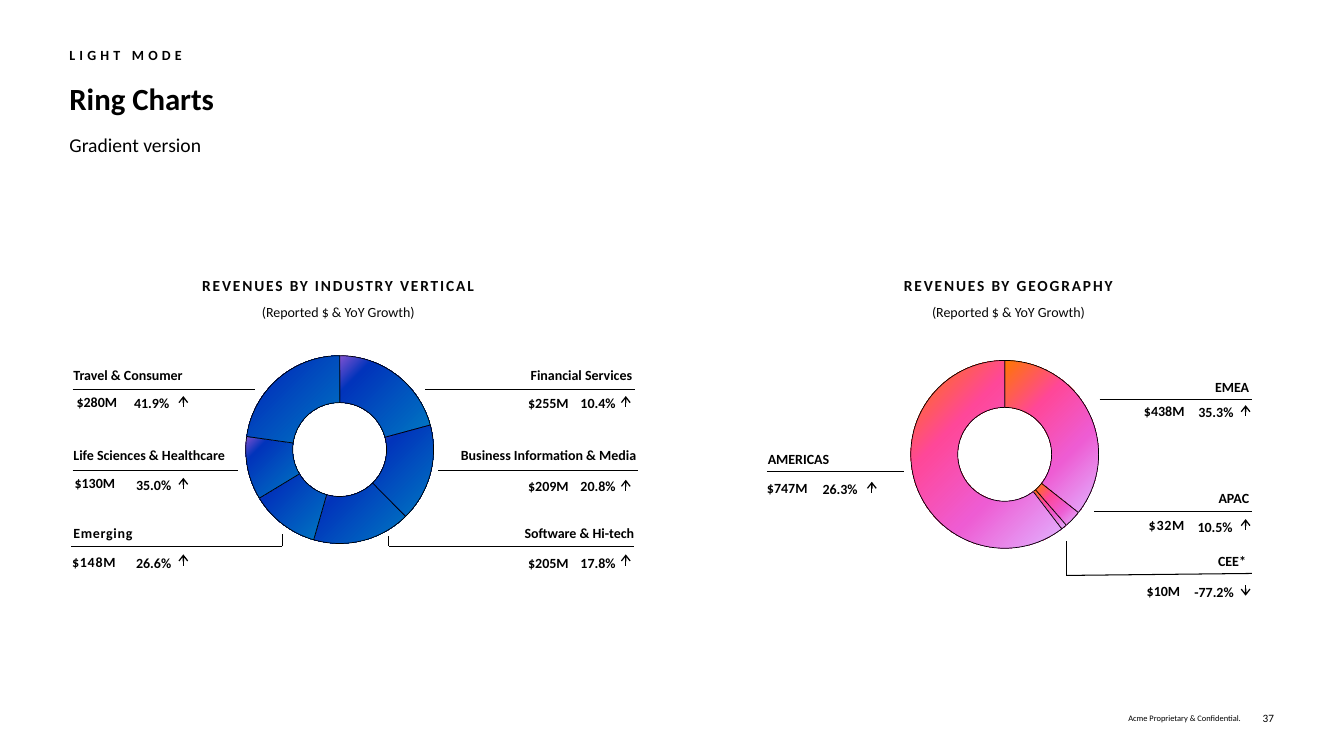
"""Build the light-mode slide with two gradient ring charts and their callouts."""
from itertools import pairwise

from pptx import Presentation
from pptx.chart.data import CategoryChartData
from pptx.dml.color import RGBColor
from pptx.enum.chart import XL_CHART_TYPE as ChartType
from pptx.enum.shapes import MSO_CONNECTOR as Connector
from pptx.enum.text import MSO_ANCHOR as Anchor, PP_ALIGN as Align
from pptx.oxml import parse_xml
from pptx.oxml.ns import nsdecls, qn
from pptx.util import Cm, Pt

COLORS = {
    "black": "000000", "heading": "060606", "footer": "010000",
    "violet": "8353D2", "navy": "0134BB", "blue": "0078C2",
    "orange": "FF7701", "pink": "FF4799", "orchid": "EE5CD3", "lilac": "E2B0FF",
}
OCEAN = [(0, "violet"), (22, "navy"), (100, "blue")]
SUNSET = [(0, "orange"), (32, "pink"), (64, "orchid"), (99, "lilac")]
SPACED = {"Emerging", "$148M", "$32M"}


class RingSlide:
    """Hold the style and the current slide, and draw each kind of element."""

    font_name = "Calibri"
    body_size = 10
    arrow_length = 0.28

    def __init__(self, deck):
        self.slide = deck.slides.add_slide(deck.slide_layouts[6])

    def text(self, box, lines, align=Align.LEFT, inset=False, wrap=True,
             leading=None, anchor=Anchor.TOP, color="black"):
        """Add a text box; each line is (wording, size, bold, letter spacing)."""
        frame = self.slide.shapes.add_textbox(*map(Cm, box)).text_frame
        frame.word_wrap = wrap
        frame.vertical_anchor = anchor
        if not inset:
            frame.margin_left = frame.margin_right = 0
            frame.margin_top = frame.margin_bottom = 0
        for index, (wording, size, bold, spacing) in enumerate(lines):
            paragraph = frame.add_paragraph() if index else frame.paragraphs[0]
            paragraph.text = wording
            paragraph.alignment = align
            if leading:
                paragraph.line_spacing = leading
            font = paragraph.font
            font.name, font.size, font.bold = self.font_name, Pt(size), bold
            font.color.rgb = RGBColor.from_string(COLORS[color])
            if spacing:
                font._element.set("spc", str(round(spacing * 100)))

    def label(self, box, wording, **options):
        """Add a bold body-size line of text."""
        spacing = 0.5 if wording in SPACED else 0
        self.text(box, [(wording, self.body_size, True, spacing)], **options)

    def line(self, start, end, width=0.75, arrow=False):
        """Add a straight line, optionally with an arrowhead at its start."""
        line = self.slide.shapes.add_connector(
            Connector.STRAIGHT, *map(Cm, (*start, *end)))
        line.line.width = Pt(width)
        line.line.color.rgb = RGBColor.from_string(COLORS["black"])
        properties = line._element.spPr
        if arrow:
            properties.find(qn("a:ln")).append(
                parse_xml(f'<a:headEnd {nsdecls("a")} type="arrow" len="sm"/>'))
        properties.append(parse_xml(f'<a:effectLst {nsdecls("a")}/>'))

    def ring(self, left, top, values, gradient):
        """Add a ring chart whose segments share one gradient."""
        data = CategoryChartData()
        data.categories = [str(n) for n in range(1, len(values) + 1)]
        data.add_series("Series 1", values)
        chart = self.slide.shapes.add_chart(
            ChartType.DOUGHNUT, Cm(left), Cm(top), Cm(5.38), Cm(5.38), data).chart
        chart.has_legend = chart.has_title = False
        chart.font.name, chart.font.size = self.font_name, Pt(self.body_size)
        chart.font.color.rgb = RGBColor.from_string(COLORS["black"])
        plot = chart.plots[0]
        plot.vary_by_categories = True
        plot._element.find(qn("c:holeSize")).set("val", "66")
        area = plot._element.getparent()
        for old in area.findall(qn("c:layout")):
            area.remove(old)
        area.insert(0, parse_xml(
            f'<c:layout {nsdecls("c")}><c:manualLayout>'
            '<c:layoutTarget val="inner"/><c:xMode val="edge"/><c:yMode val="edge"/>'
            '<c:x val="0.06"/><c:y val="0.06"/><c:w val="0.88"/><c:h val="0.88"/>'
            '</c:manualLayout></c:layout>'))
        series = plot.series[0]
        for index in range(len(values)):
            outline = series.points[index].format.line
            outline.width = Pt(0.5)
            outline.color.rgb = RGBColor.from_string(COLORS["black"])
        stops = "".join(
            f'<a:gs pos="{stop * 1000}"><a:srgbClr val="{COLORS[name]}"/></a:gs>'
            for stop, name in gradient)
        for segment in series._element.findall(f'{qn("c:dPt")}/{qn("c:spPr")}'):
            segment.insert(0, parse_xml(
                f'<a:gradFill {nsdecls("a")} rotWithShape="1"><a:gsLst>{stops}</a:gsLst>'
                '<a:lin ang="2700000" scaled="0"/></a:gradFill>'))

    def heading(self, left, title):
        """Add a chart title with its subtitle."""
        self.text((left, 6.6, 10.19, 1.55),
                  [(title, 11, True, 1.3), ("(Reported $ & YoY Growth)", 10, False, 0)],
                  align=Align.CENTER, inset=True, leading=1.5, color="heading")

    def callouts(self, rows, arrow_x, label_width, align, label_leading=None,
                 amount_inset=True, amount_leading=None):
        """Add one side's callouts: label, leader line, amount, growth and arrow."""
        for (label, label_at, leader, amount, amount_at,
             growth, growth_at, arrow_top) in rows:
            self.label((*label_at, label_width, 0.69), label, align=align,
                       inset=True, leading=label_leading)
            for start, end in pairwise(leader):
                self.line(start, end)
            amount_size = (1.8, 0.69) if amount_inset else (1.15, 0.46)
            self.label((*amount_at, *amount_size), amount, wrap=False,
                       inset=amount_inset, leading=amount_leading)
            self.label((*growth_at, 1.1, 0.46), growth, wrap=False, leading=1.1)
            tip, tail = (arrow_x, arrow_top), (arrow_x, arrow_top + self.arrow_length)
            if growth.startswith("-"):
                tip, tail = tail, tip
            self.line(tip, tail, width=1, arrow=True)


INDUSTRY_LEFT = [
    ("Travel & Consumer", (1.6, 9.12), [(1.83, 9.81), (6.43, 9.81)],
     "$280M", (1.68, 9.8), "41.9%", (3.38, 9.91), 9.98),
    ("Life Sciences & Healthcare", (1.6, 11.13), [(1.83, 11.86), (5.99, 11.86)],
     "$130M", (1.63, 11.84), "35.0%", (3.43, 11.96), 12.04),
    ("Emerging", (1.6, 13.08), [(1.8, 13.77), (7.11, 13.77), (7.11, 13.46)],
     "$148M", (1.57, 13.82), "26.6%", (3.43, 13.92), 13.97),
]
INDUSTRY_RIGHT = [
    ("Financial Services", (11.2, 9.12), [(10.72, 9.81), (16, 9.81)],
     "$255M", (13.31, 9.91), "10.4%", (14.63, 9.91), 9.98),
    ("Business Information & Media", (11.3, 11.13), [(11.05, 11.86), (16.08, 11.86)],
     "$209M", (13.31, 11.99), "20.8%", (14.63, 11.99), 12.09),
    ("Software & Hi-tech", (11.25, 13.08), [(9.8, 13.51), (9.8, 13.77), (15.98, 13.77)],
     "$205M", (13.31, 13.92), "17.8%", (14.63, 13.92), 13.97),
]
GEOGRAPHY_LEFT = [
    ("AMERICAS", (19.1, 11.15), [(19.33, 11.89), (22.78, 11.89)],
     "$747M", (19.08, 11.96), "26.3%", (20.73, 12.07), 12.14),
]
GEOGRAPHY_RIGHT = [
    ("EMEA", (29.01, 9.32), [(27.71, 10.06), (31.55, 10.06)],
     "$438M", (28.58, 10.03), "35.3%", (30.2, 10.13), 10.21),
    ("APAC", (29.01, 12.12), [(27.58, 12.9), (31.55, 12.9)],
     "$32M", (28.7, 12.9), "10.5%", (30.18, 13.03), 13.08),
    ("CEE*", (28.93, 13.72), [(26.87, 13.64), (26.87, 14.5), (31.55, 14.45)],
     "$10M", (28.65, 14.56), "-77.2%", (30.1, 14.66), 14.73),
]


def main():
    deck = Presentation()
    deck.slide_width, deck.slide_height = Cm(33.87), Cm(19.05)
    page = RingSlide(deck)

    page.text((1.75, 2.01, 30.35, 0.94), [("Ring Charts", 22, True, 0)])
    page.text((1.75, 1.17, 10.08, 0.64), [("LIGHT MODE", 10, True, 3)])
    page.text((1.75, 3.36, 30.35, 1.35), [("Gradient version", 14, False, 0)])
    for left, width, wording, size in [
            (26.49, 4.78, "Acme Proprietary & Confidential.", 6),
            (31.42, 0.69, "37", 8)]:
        page.text((left, 17.8, width, 0.61), [(wording, size, False, 0)],
                  align=Align.RIGHT, anchor=Anchor.MIDDLE, color="footer")

    page.heading(3.43, "REVENUES BY INDUSTRY VERTICAL")
    page.ring(5.87, 8.64, (21, 17, 17, 12, 11, 23), OCEAN)
    page.callouts(INDUSTRY_LEFT, 4.62, 4.62, Align.LEFT)
    page.callouts(INDUSTRY_RIGHT, 15.77, 4.98, Align.RIGHT,
                  amount_inset=False, amount_leading=1.1)

    page.heading(20.32, "REVENUES BY GEOGRAPHY")
    page.ring(22.63, 8.76, (36, 3, 1, 61), SUNSET)
    page.callouts(GEOGRAPHY_LEFT, 21.97, 2.95, Align.LEFT, label_leading=1.2)
    page.callouts(GEOGRAPHY_RIGHT, 31.39, 2.72, Align.RIGHT, label_leading=1.2)

    deck.save("out.pptx")


if __name__ == "__main__":
    main()
